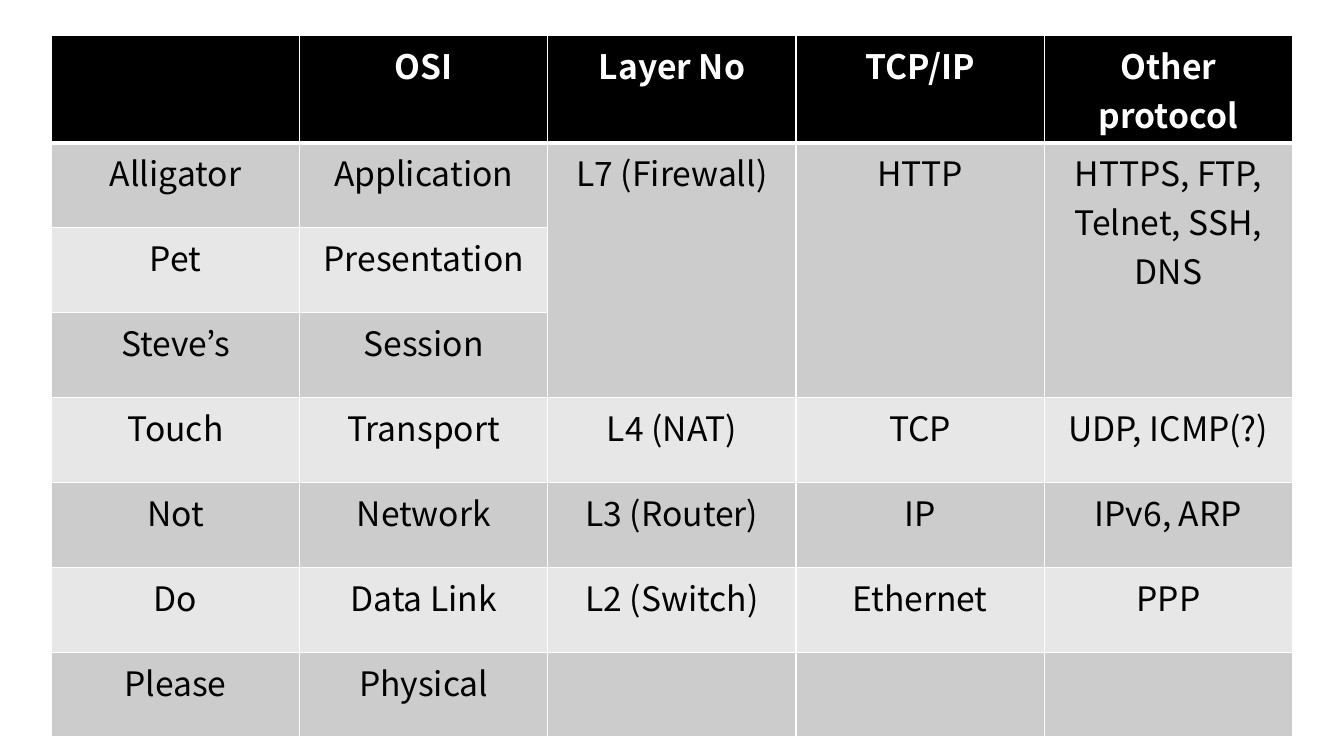
from lxml import etree
from pptx import Presentation
from pptx.dml.color import RGBColor
from pptx.enum.text import PP_ALIGN
from pptx.oxml import ns
from pptx.util import Inches, Pt

FONT = "Noto Sans CJK KR"
COLORS = {"header": "000000", "odd": "CCCCCC", "even": "E7E7E7",
          "border": "FFFFFF", "header_text": "FFFFFF", "text": "000000"}
LAYERS = [
    ["", "OSI", "Layer No", "TCP/IP", "Other protocol"],
    ["Alligator", "Application", "L7 (Firewall)", "HTTP",
     "HTTPS, FTP, Telnet, SSH, DNS"],
    ["Pet", "Presentation", "", "", ""],
    ["Steve’s", "Session", "", "", ""],
    ["Touch", "Transport", "L4 (NAT)", "TCP", "UDP, ICMP(?)"],
    ["Not", "Network", "L3 (Router)", "IP", "IPv6, ARP"],
    ["Do", "Data Link", "L2 (Switch)", "Ethernet", "PPP"],
    ["Please", "Physical", "", "", ""],
]
MERGED_ROWS = (1, 3)
MERGED_COLS = (2, 3, 4)


def set_borders(cell, widths):
    """Draw solid cell borders; widths maps L, R, T, B to points."""
    tcPr = cell._tc.get_or_add_tcPr()
    for i, side in enumerate("LRTB"):
        ln = etree.Element(ns.qn(f"a:ln{side}"), w=str(Pt(widths[side])))
        fill = etree.SubElement(ln, ns.qn("a:solidFill"))
        etree.SubElement(fill, ns.qn("a:srgbClr"), val=COLORS["border"])
        tcPr.insert(i, ln)


def style_cell(cell, row, content):
    header = row == 0
    band = "header" if header else "odd" if row % 2 else "even"
    cell.fill.solid()
    cell.fill.fore_color.rgb = RGBColor.from_string(COLORS[band])
    set_borders(cell, {"L": 1, "R": 1, "T": 3 if row == 1 else 1,
                       "B": 3 if header else 1})
    cell.text = content
    p = cell.text_frame.paragraphs[0]
    p.alignment = PP_ALIGN.CENTER
    p.font.name = FONT
    p.font.size = Pt(24)
    p.font.bold = header
    p.font.color.rgb = RGBColor.from_string(
        COLORS["header_text" if header else "text"])


def add_layer_table(s, left, top, width, height):
    rows, cols = len(LAYERS), len(LAYERS[0])
    table = s.shapes.add_table(rows, cols, left, top, width, height).table
    for r, contents in enumerate(LAYERS):
        for c, content in enumerate(contents):
            style_cell(table.cell(r, c), r, content)
    first, last = MERGED_ROWS
    for c in MERGED_COLS:
        table.cell(first, c).merge(table.cell(last, c))


def main():
    prs = Presentation()
    prs.slide_width, prs.slide_height = Inches(13.33), Inches(7.5)
    s = prs.slides.add_slide(prs.slide_layouts[6])
    add_layer_table(s, Inches(0.51), Inches(0.35), Inches(12.31), Inches(6.74))
    prs.save("out.pptx")


if __name__ == "__main__":
    main()
